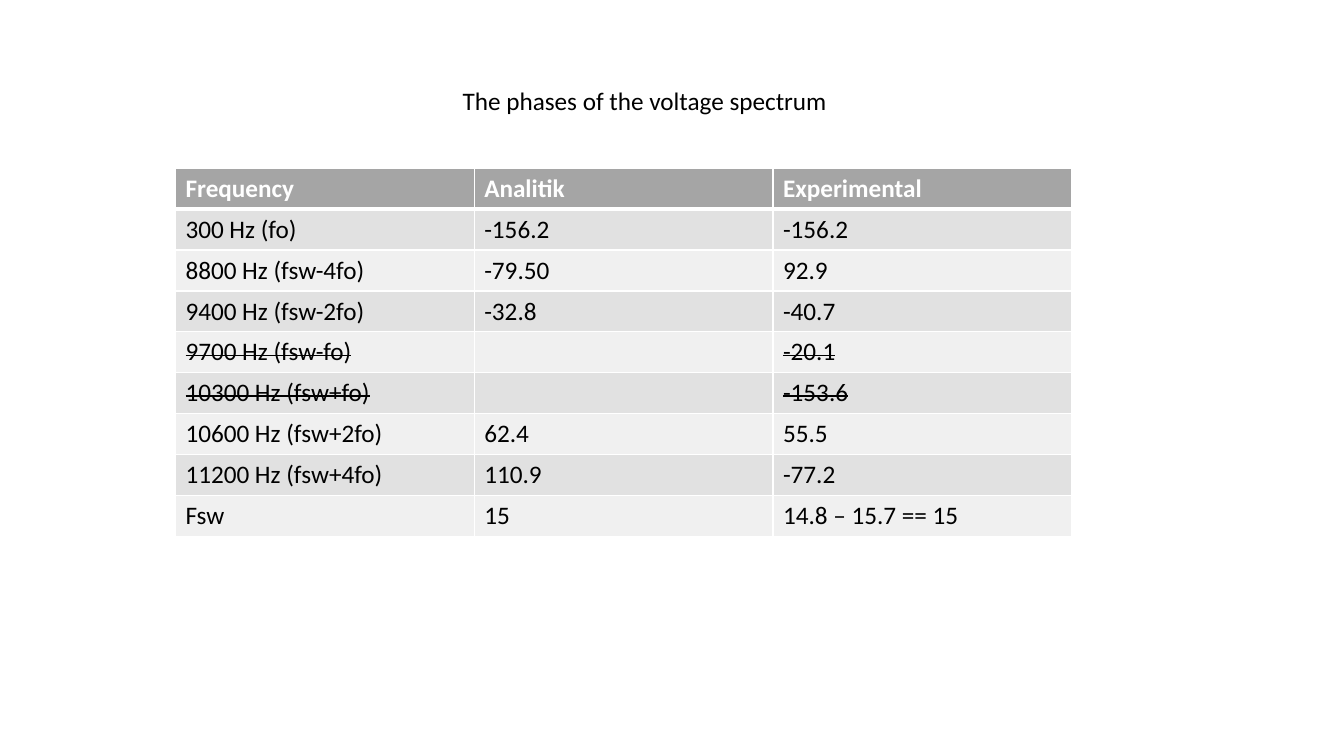
from lxml import etree
from pptx import Presentation
from pptx.dml.color import RGBColor
from pptx.oxml.ns import qn
from pptx.util import Inches, Pt

HEAD = ("Frequency", "Analitik", "Experimental")
ROWS = (
    ("300 Hz (fo)", "-156.2", "-156.2"),
    ("8800 Hz (fsw-4fo)", "-79.50", "92.9"),
    ("9400 Hz (fsw-2fo)", "-32.8", "-40.7"),
    ("9700 Hz (fsw-fo)", "", "-20.1"),
    ("10300 Hz (fsw+fo)", "", "-153.6"),
    ("10600 Hz (fsw+2fo)", "62.4", "55.5"),
    ("11200 Hz (fsw+4fo)", "110.9", "-77.2"),
    ("Fsw", "15", "14.8 – 15.7 == 15"),
)
STRUCK = (4, 5)
WHITE, BLACK = "FFFFFF", "000000"
GREY, BANDS = "A5A5A5", ("F0F0F0", "E1E1E1")


def color(code):
    return RGBColor.from_string(code)


def style(par, ink, bold=False):
    font = par.font
    font.name, font.size, font.bold = "Calibri", Pt(18), bold
    font.color.rgb = color(ink)


def border(cell, side, width):
    props = cell._tc.get_or_add_tcPr()
    line = etree.SubElement(props, qn(f"a:ln{side}"), w=str(Pt(width)))
    fill = etree.SubElement(line, qn("a:solidFill"))
    etree.SubElement(fill, qn("a:srgbClr"), val=WHITE)


def fill_cell(cell, words, row):
    top = row == 0
    widths = {"L": 1, "R": 1, "T": 3 if row == 1 else 1, "B": 3 if top else 1}
    for side, width in widths.items():
        border(cell, side, width)
    cell.fill.solid()
    cell.fill.fore_color.rgb = color(GREY if top else BANDS[row % 2])
    cell.text = words
    par = cell.text_frame.paragraphs[0]
    style(par, WHITE if top else BLACK, top)
    if row in STRUCK:
        for run in par.runs:
            run._r.get_or_add_rPr().set("strike", "sngStrike")


def add_grid(slide):
    data = (HEAD, *ROWS)
    frame = slide.shapes.add_table(len(data), len(HEAD), Inches(1.74),
                                   Inches(1.67), Inches(8.89), Inches(3.65))
    for r, row in enumerate(data):
        for c, words in enumerate(row):
            fill_cell(frame.table.cell(r, c), words, r)


def add_title(slide):
    box = slide.shapes.add_textbox(Inches(4.49), Inches(0.8),
                                   Inches(6.74), Inches(0.4))
    box.text_frame.word_wrap = True
    box.text_frame.text = "The phases of the voltage spectrum"
    style(box.text_frame.paragraphs[0], BLACK)


def main():
    deck = Presentation()
    deck.slide_width, deck.slide_height = Inches(13.33), Inches(7.5)
    slide = deck.slides.add_slide(deck.slide_layouts[6])
    add_grid(slide)
    add_title(slide)
    deck.save("out.pptx")


if __name__ == "__main__":
    main()
